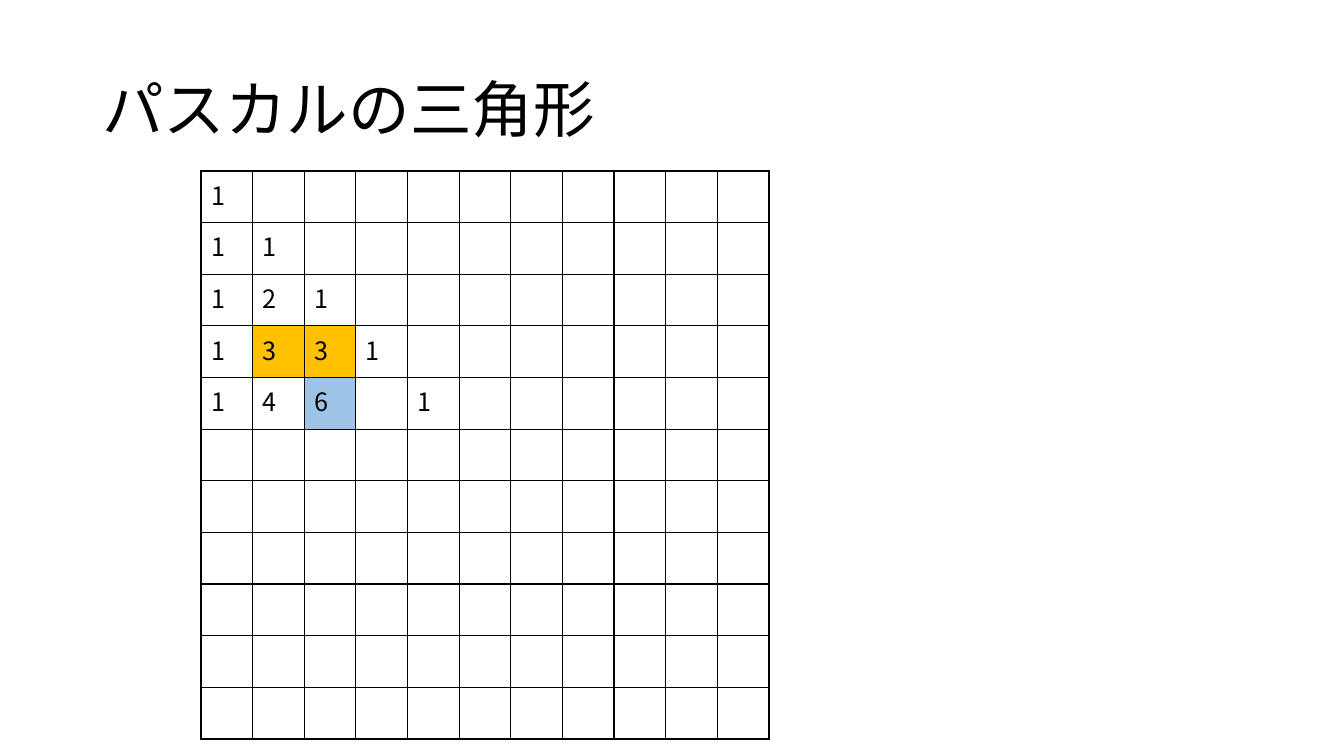
"""Build a slide with Pascal's triangle in a square grid."""
from dataclasses import dataclass
from math import comb

from lxml.etree import SubElement
from pptx import Presentation
from pptx.dml.color import RGBColor
from pptx.enum.text import MSO_ANCHOR as Anchor, MSO_AUTO_SIZE as AutoSize, PP_ALIGN as Align
from pptx.oxml.ns import qn
from pptx.table import _Cell as Cell
from pptx.text.text import _Paragraph as Paragraph
from pptx.util import Emu, Pt

SCALE = 914400 / 100.8
FONT = "Noto Sans CJK JP"
COLORS = {"ink": "000000", "paper": "FFFFFF", "parent": "FFC000", "sum": "9DC3E6"}
GRID_SIZE = 11
FILLED_ROWS = 5
UNSOLVED = (4, 3)
HIGHLIGHTS = {(3, 1): "parent", (3, 2): "parent", (4, 2): "sum"}


@dataclass(frozen=True)
class Entry:
    """One number of the triangle with its place and fill."""
    row: int
    column: int
    value: int
    fill: str


def px(length: float) -> Emu:
    """Turn pixels into EMU."""
    return Emu(round(length * SCALE))


def add_span(para: Paragraph, text: str, size: float) -> None:
    """Add one run in the slide's font and ink."""
    span = para.add_run()
    span.text = text
    span.font.size = Pt(size)
    span.font.name = FONT
    span.font.color.rgb = RGBColor.from_string(COLORS["ink"])
    SubElement(span.font._element, qn("a:ea"), typeface=FONT)


def draw_borders(cell: Cell) -> None:
    """Give a cell a thin line on all four sides."""
    properties = cell._tc.get_or_add_tcPr()
    for side in ("lnL", "lnR", "lnT", "lnB"):
        line = SubElement(properties, qn(f"a:{side}"), w=str(Pt(1)))
        solid = SubElement(line, qn("a:solidFill"))
        SubElement(solid, qn("a:srgbClr"), val=COLORS["ink"])


def draw_entry(cell: Cell, entry: Entry) -> None:
    """Write a number into its cell and fill the cell."""
    add_span(cell.text_frame.paragraphs[0], str(entry.value), 18)
    cell.fill.solid()
    cell.fill.fore_color.rgb = RGBColor.from_string(COLORS[entry.fill])


entries = [
    Entry(row, column, comb(row, column), HIGHLIGHTS.get((row, column), "paper"))
    for row in range(FILLED_ROWS)
    for column in range(row + 1)
    if (row, column) != UNSOLVED
]

deck = Presentation()
deck.slide_width, deck.slide_height = px(1344), px(756)
page = deck.slides.add_slide(deck.slide_layouts[5])

title = page.shapes.title
title.left, title.top, title.width, title.height = px(92), px(40), px(1159), px(146)
frame = title.text_frame
frame.auto_size = AutoSize.NONE
frame.word_wrap = True
frame.vertical_anchor = Anchor.MIDDLE
heading = frame.paragraphs[0]
heading.alignment = Align.LEFT
heading.line_spacing = 0.9
add_span(heading, "パスカルの三角形", 44)

side_length = px(568)
grid = page.shapes.add_table(
    GRID_SIZE, GRID_SIZE, px(201), px(171), side_length, side_length
).table
grid.first_row = grid.horz_banding = False
for grid_cell in grid.iter_cells():
    draw_borders(grid_cell)
    grid_cell.fill.background()
for number in entries:
    draw_entry(grid.cell(number.row, number.column), number)

deck.save("out.pptx")
